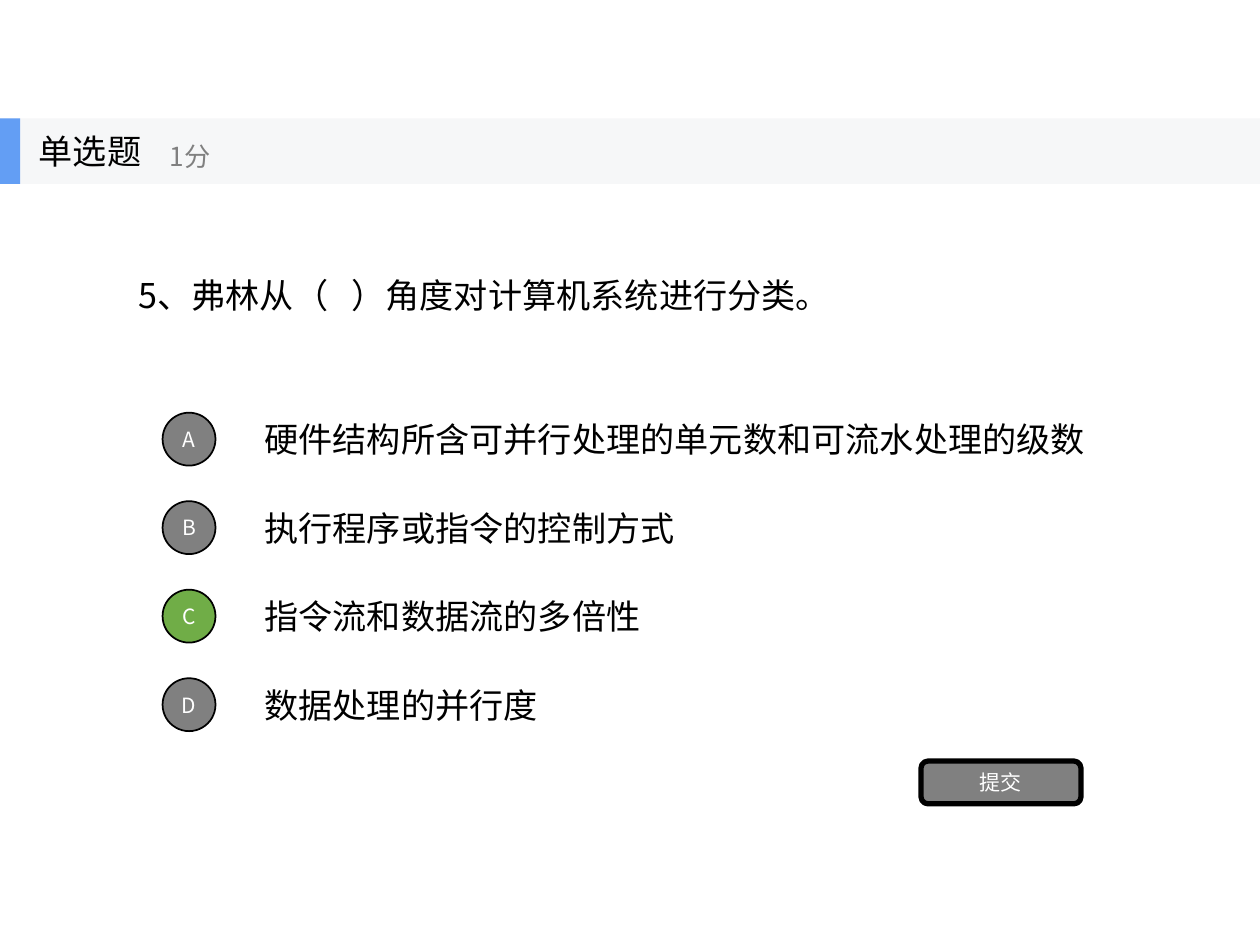
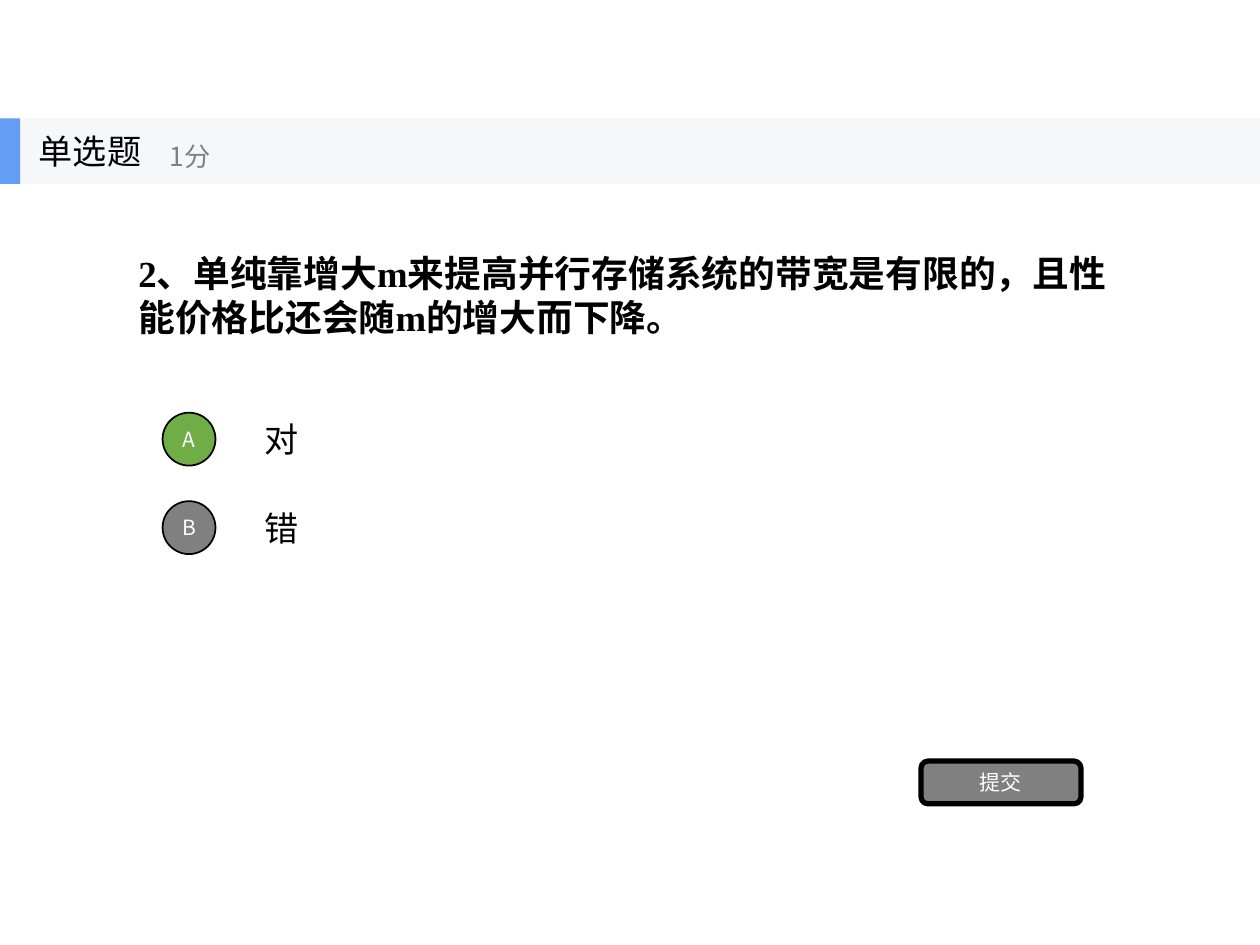
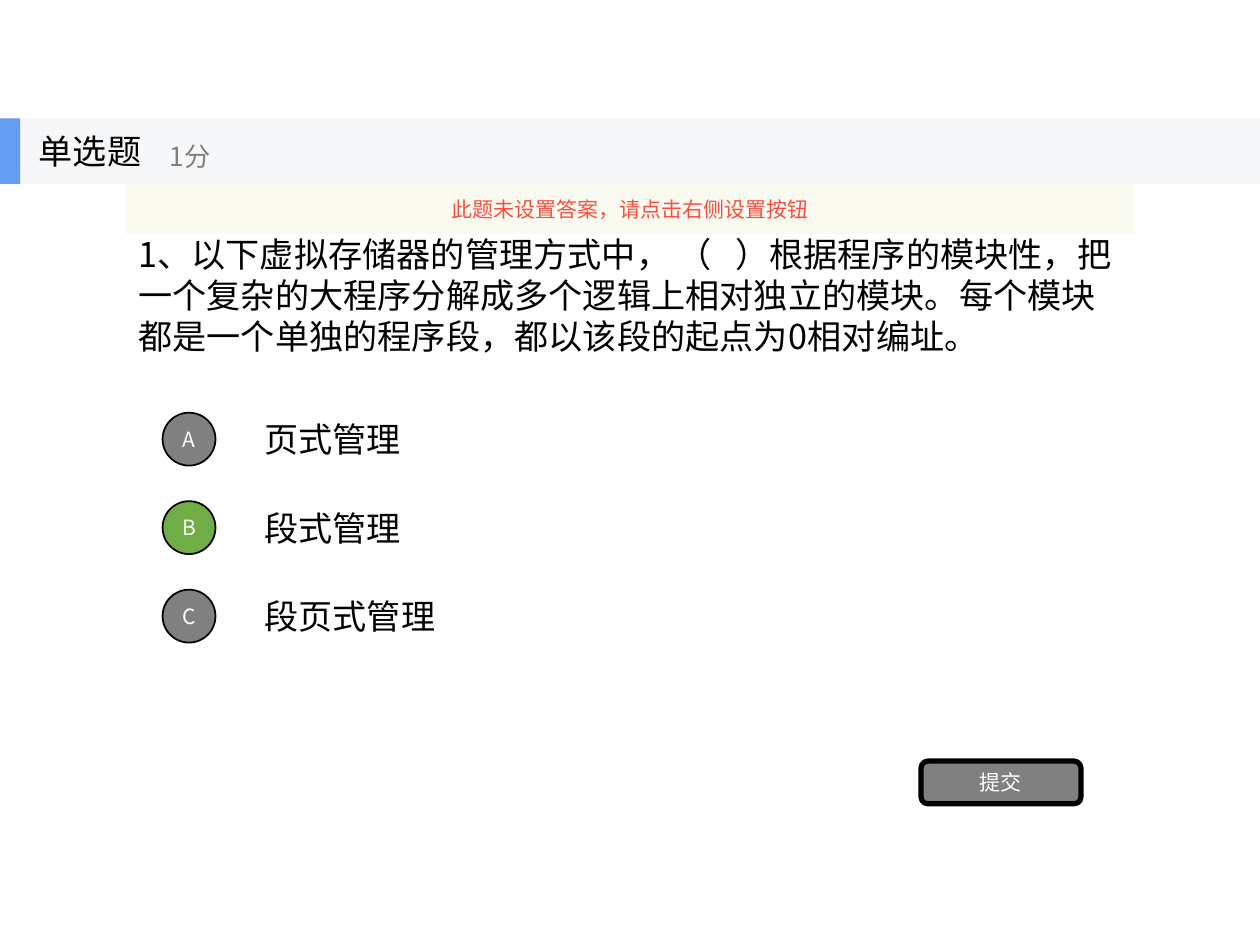
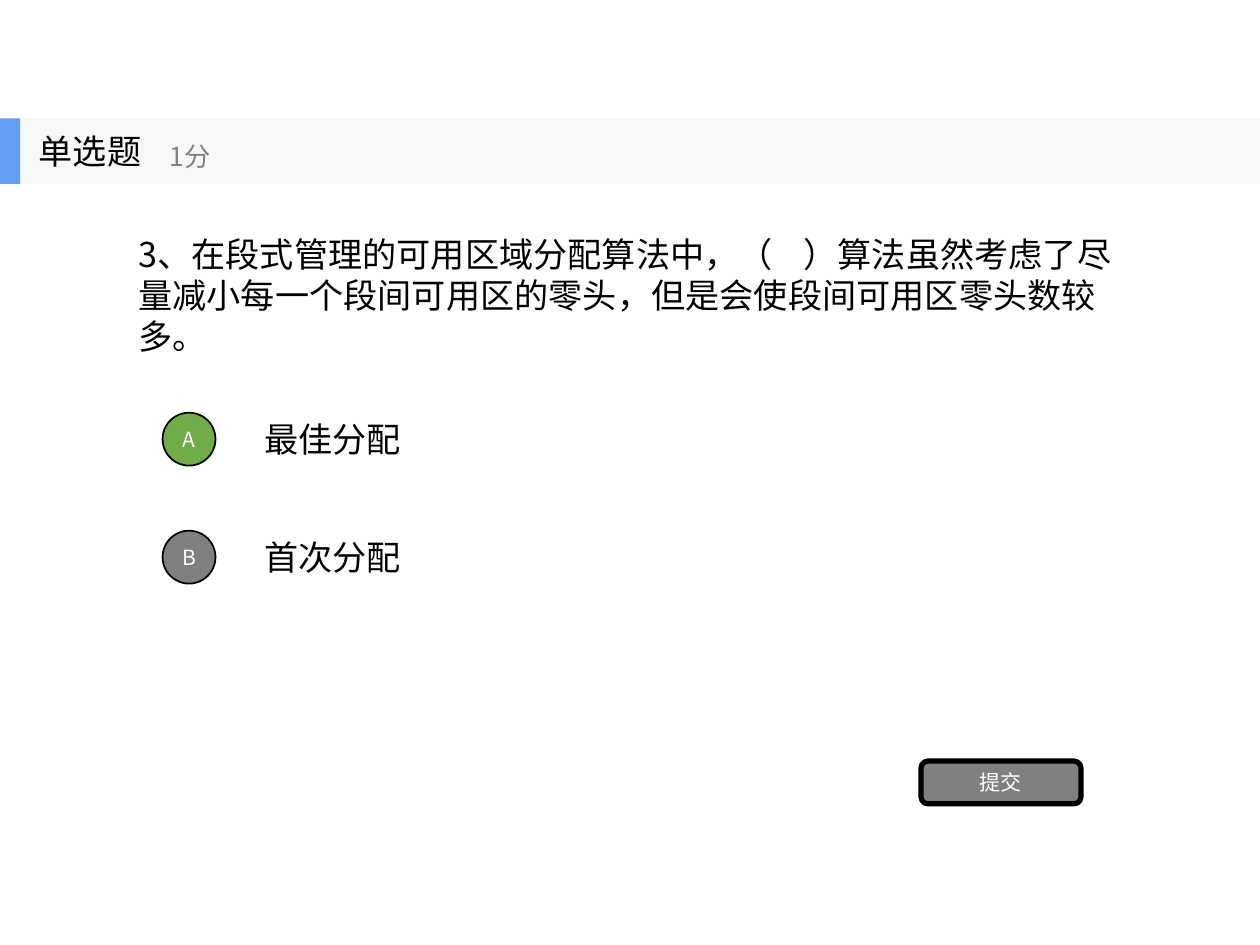
from lxml import etree
from pptx import Presentation
from pptx.dml.color import RGBColor
from pptx.enum import shapes, text
from pptx.oxml.ns import qn
from pptx.util import Inches, Pt

BLACK = RGBColor(0x00, 0x00, 0x00)
WHITE = RGBColor(0xFF, 0xFF, 0xFF)
GRAY = RGBColor(0x80, 0x80, 0x80)
GREEN = RGBColor(0x70, 0xAD, 0x47)
BLUE = RGBColor(0x63, 0x9E, 0xF4)
BAND = RGBColor(0xF6, 0xF7, 0xF8)
CREAM = RGBColor(0xFB, 0xFA, 0xEF)
RED = RGBColor(0xF8, 0x4F, 0x41)
SANS = "Noto Sans CJK SC"
SERIF = "Times New Roman"

OPTIONS_TOP = 3.22
OPTIONS_HEIGHT = 2.81
OPTION_HEIGHT = 0.53
CIRCLE_SIZE = 0.42


def write(shape, wording, size=19.5, color=BLACK, font=SANS, bold=None, centered=False):
    frame = shape.text_frame
    frame.word_wrap = True
    frame.vertical_anchor = text.MSO_ANCHOR.MIDDLE
    paragraph = frame.paragraphs[0]
    paragraph.alignment = text.PP_ALIGN.CENTER if centered else text.PP_ALIGN.LEFT
    run = paragraph.add_run()
    run.text = wording
    run.font.name = font
    run.font.size = Pt(size)
    run.font.bold = bold
    run.font.color.rgb = color
    east_asian = etree.SubElement(run.font._element, qn("a:ea"))
    east_asian.set("typeface", SANS)


def add_filled(container, kind, box, fill, line_width=0):
    """Add a preset shape, with a black outline if line_width is given."""
    shape = container.add_shape(kind, *map(Inches, box))
    shape.shadow.inherit = False
    shape.fill.solid()
    shape.fill.fore_color.rgb = fill
    if line_width:
        shape.line.color.rgb = BLACK
        shape.line.width = Pt(line_width)
    else:
        shape.line.fill.background()
    return shape


# "slots" is the number of rows the option area is divided into.
questions = [
    {
        "wording": "5、弗林从（   ）角度对计算机系统进行分类。",
        "options": ["硬件结构所含可并行处理的单元数和可流水处理的级数",
                    "执行程序或指令的控制方式", "指令流和数据流的多倍性", "数据处理的并行度"],
        "answer": "C", "slots": 4,
    },
    {
        "wording": "2、单纯靠增大m来提高并行存储系统的带宽是有限的，且性能价格比还会随m的增大而下降。",
        "style": {"size": 21, "font": SERIF, "bold": True},
        "options": ["对", "错"],
        "answer": "A", "slots": 4,
    },
    {
        "wording": "1、以下虚拟存储器的管理方式中， （   ）根据程序的模块性，把一个复杂的大程序分解成"
                   "多个逻辑上相对独立的模块。每个模块都是一个单独的程序段，都以该段的起点为0相对编址。",
        "options": ["页式管理", "段式管理", "段页式管理"],
        "answer": "B", "slots": 4,
        "notice": "此题未设置答案，请点击右侧设置按钮",
    },
    {
        "wording": "3、在段式管理的可用区域分配算法中，（    ）算法虽然考虑了尽量减小每一个段间可用区的零头，"
                   "但是会使段间可用区零头数较多。",
        "options": ["最佳分配", "首次分配"],
        "answer": "A", "slots": 3,
    },
]

presentation = Presentation()
presentation.slide_width = Inches(10)
presentation.slide_height = Inches(7.5)

for question in questions:
    slide = presentation.slides.add_slide(presentation.slide_layouts[6])
    question_box = slide.shapes.add_textbox(Inches(1), Inches(1.46), Inches(8), Inches(1.76))
    write(question_box, question["wording"], **question.get("style", {}))

    pitch = OPTIONS_HEIGHT / question["slots"]
    for row, (letter, option) in enumerate(zip("ABCD", question["options"])):
        top = OPTIONS_TOP + row * pitch
        option_box = slide.shapes.add_textbox(
            Inches(2), Inches(top), Inches(7), Inches(OPTION_HEIGHT))
        write(option_box, option)
        circle_top = top + (OPTION_HEIGHT - CIRCLE_SIZE) / 2
        circle = add_filled(slide.shapes, shapes.MSO_SHAPE.OVAL,
                            (1.29, circle_top, CIRCLE_SIZE, CIRCLE_SIZE),
                            GREEN if letter == question["answer"] else GRAY, line_width=1)
        circle.text_frame.margin_left = circle.text_frame.margin_right = 0
        write(circle, letter, size=12, color=WHITE, centered=True)

    submit = add_filled(slide.shapes, shapes.MSO_SHAPE.ROUNDED_RECTANGLE,
                        (7.31, 6.04, 1.27, 0.34), GRAY, line_width=3)
    write(submit, "提交", size=12, color=WHITE, centered=True)

    header = slide.shapes.add_group_shape().shapes
    add_filled(header, shapes.MSO_SHAPE.RECTANGLE, (0, 0.94, 10, 0.52), BAND)
    add_filled(header, shapes.MSO_SHAPE.RECTANGLE, (0, 0.94, 0.16, 0.52), BLUE)
    type_box = header.add_textbox(Inches(0.21), Inches(0.94), Inches(1.56), Inches(0.52))
    write(type_box, "单选题")
    score_box = header.add_textbox(Inches(1.25), Inches(1.03), Inches(1.88), Inches(0.42))
    write(score_box, "1分", size=15, color=GRAY)

    if "notice" in question:
        notice = add_filled(slide.shapes, shapes.MSO_SHAPE.RECTANGLE, (1, 1.46, 8, 0.4), CREAM)
        fill_color = notice._element.spPr.find(qn("a:solidFill"))[0]
        etree.SubElement(fill_color, qn("a:alpha")).set("val", "90000")
        write(notice, question["notice"], size=12, color=RED, centered=True)

presentation.save("out.pptx")
